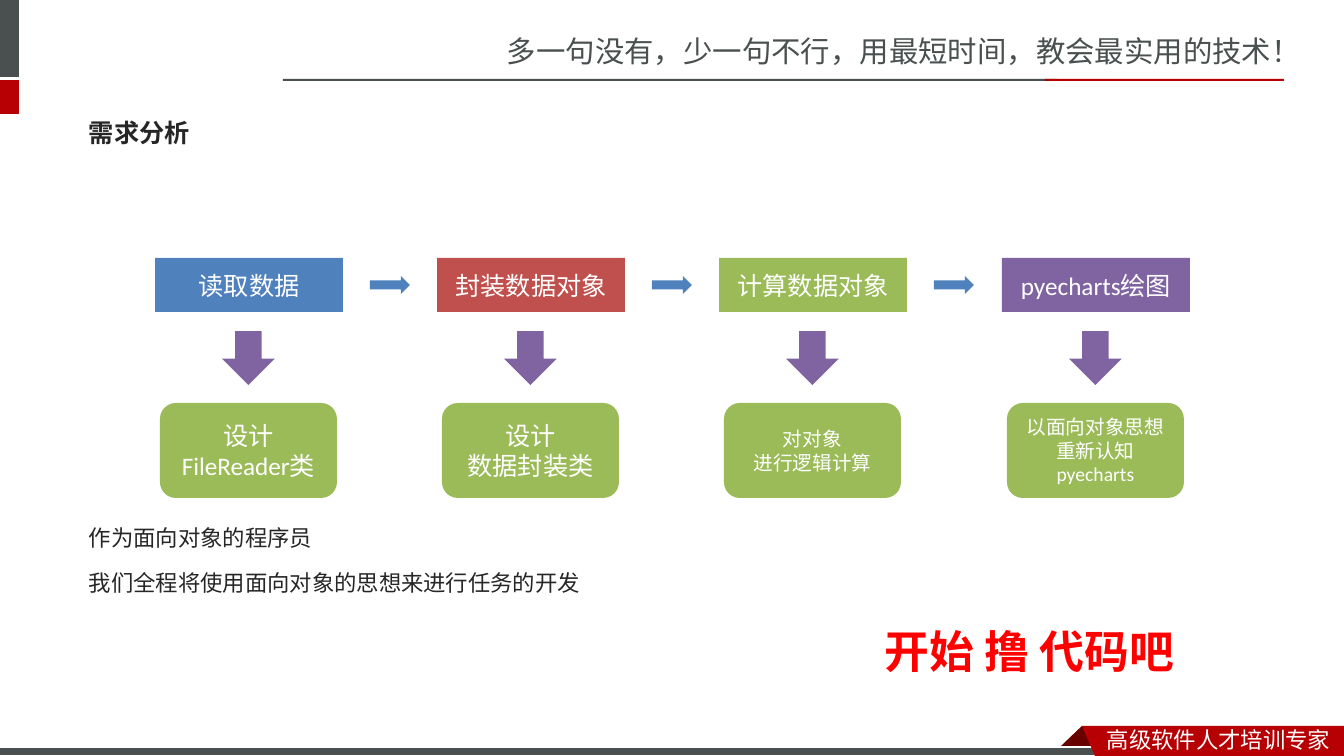
"""Build the requirements-analysis slide with its four-step flow."""
from dataclasses import dataclass

from lxml.etree import SubElement
from pptx import Presentation
from pptx.dml.color import RGBColor
from pptx.enum.shapes import MSO_SHAPE
from pptx.enum.text import MSO_ANCHOR, PP_ALIGN
from pptx.oxml.ns import qn
from pptx.util import Emu, Pt

EMU_PER_PX = 914400 / 100.8
CJK = "Noto Sans CJK SC"
SLATE, CRIMSON, MAROON = "49504F", "B60004", "680000"
BLUE, RED, GREEN, PURPLE = "4F81BD", "C0504D", "9BBB59", "8064A2"
WHITE, INK, BRIGHT_RED = "FFFFFF", "262626", "FF0000"


@dataclass(frozen=True)
class Box:
    left: int
    top: int
    width: int
    height: int

    def shifted(self, dx: int) -> "Box":
        return Box(self.left + dx, self.top, self.width, self.height)

    def emu(self) -> list[Emu]:
        return [px(n) for n in (self.left, self.top, self.width, self.height)]


@dataclass(frozen=True)
class Style:
    size: int
    color: str
    name: str = CJK
    bold: bool = False


@dataclass(frozen=True)
class Label:
    box: Box
    lines: tuple[str, ...]
    style: Style
    frame: dict
    paragraph: dict


@dataclass(frozen=True)
class Step:
    title: str
    color: str
    task: tuple[str, ...]
    task_size: int


BARS = (
    (Box(0, 0, 19, 77), SLATE),
    (Box(0, 80, 19, 34), CRIMSON),
    (Box(283, 79, 774, 2), SLATE),
    (Box(1045, 79, 239, 2), CRIMSON),
)
FOLD = ((1082, 726), (1104, 748), (1103, 749), (1060, 749), (1059, 748))
RIBBON = ((1082, 726), (1344, 726), (1344, 756), (1095, 756))
FOOTER = Box(0, 747, 1108, 9)

STEPS = (
    Step("读取数据", BLUE, ("设计FileReader类",), 18),
    Step("封装数据对象", RED, ("设计", "数据封装类"), 18),
    Step("计算数据对象", GREEN, ("对对象", "进行逻辑计算"), 14),
    Step("pyecharts绘图", PURPLE, ("以面向对象思想", "重新认知pyecharts"), 14),
)
STEP_SPAN = 847
STEP_BOX = Box(155, 258, 188, 54)
NEXT_ARROW = Box(370, 276, 40, 18)
DOWN_ARROW = Box(222, 331, 53, 54)
TASK_BOX = Box(160, 403, 177, 95)

WRAPPED = {"word_wrap": True}
CENTERED = {"alignment": PP_ALIGN.CENTER}
MIDDLE = {"word_wrap": True, "vertical_anchor": MSO_ANCHOR.MIDDLE}
LABELS = (
    Label(Box(497, 28, 847, 47), ("多一句没有，少一句不行，用最短时间，教会最实用的技术！",),
          Style(21, SLATE), WRAPPED, {}),
    Label(Box(1097, 721, 247, 37), ("高级软件人才培训专家",),
          Style(16, WHITE), WRAPPED, {}),
    Label(Box(79, 104, 1179, 57), ("需求分析",),
          Style(18, INK, bold=True), MIDDLE, {}),
    Label(Box(79, 506, 1179, 142),
          ("作为面向对象的程序员", "我们全程将使用面向对象的思想来进行任务的开发"),
          Style(16, INK), WRAPPED, {"line_spacing": 1.5, "space_before": Pt(3.2)}),
    Label(Box(875, 619, 314, 65), ("开始 撸 代码吧",),
          Style(32, BRIGHT_RED, bold=True), {"word_wrap": False}, {}),
)


def px(length: int) -> Emu:
    """Turn pixels into EMU."""
    return Emu(round(length * EMU_PER_PX))


def rgb(color: str) -> RGBColor:
    """Turn a hex string into a colour."""
    return RGBColor.from_string(color)


def apply(target, formats: dict) -> None:
    """Set every format value on the target."""
    for name, value in formats.items():
        setattr(target, name, value)


def write(frame, lines: tuple[str, ...], style: Style, frame_formats: dict,
          paragraph_formats: dict) -> None:
    """Write styled lines into a text frame."""
    apply(frame, frame_formats)
    for index, line in enumerate(lines):
        paragraph = frame.add_paragraph() if index else frame.paragraphs[0]
        apply(paragraph, paragraph_formats)
        if not index:
            paragraph.space_before = Pt(0)
        run = paragraph.add_run()
        run.text = line
        apply(run.font, {"size": Pt(style.size), "bold": style.bold, "name": style.name})
        run.font.color.rgb = rgb(style.color)
        SubElement(run.font._element, qn("a:ea")).set("typeface", CJK)


def paint(shape, color: str) -> None:
    """Give a shape a flat fill without line or shadow."""
    shape.shadow.inherit = False
    shape.fill.solid()
    shape.fill.fore_color.rgb = rgb(color)
    shape.line.fill.background()


def add_block(slide, kind: MSO_SHAPE, box: Box, color: str):
    """Add a flat preset shape."""
    block = slide.shapes.add_shape(kind, *box.emu())
    paint(block, color)
    return block


def add_outline(slide, points: tuple[tuple[int, int], ...], color: str) -> None:
    """Add a flat polygon."""
    builder = slide.shapes.build_freeform(*points[0], scale=EMU_PER_PX)
    builder.add_line_segments(points[1:], close=True)
    paint(builder.convert_to_shape(), color)


def add_frame(slide) -> None:
    """Add the bars and the ribbon around the content."""
    for box, color in BARS:
        add_block(slide, MSO_SHAPE.RECTANGLE, box, color)
    add_outline(slide, FOLD, MAROON)
    footer = add_block(slide, MSO_SHAPE.RECTANGLE, FOOTER, SLATE)
    footer.line.color.rgb = rgb(WHITE)
    footer.line.width = Pt(0.75)
    add_outline(slide, RIBBON, CRIMSON)


def add_step(slide, step: Step, index: int) -> None:
    """Add one step with its task and the arrows around it."""
    last = len(STEPS) - 1
    dx = STEP_SPAN * index // last
    title = add_block(slide, MSO_SHAPE.RECTANGLE, STEP_BOX.shifted(dx), step.color)
    write(title.text_frame, (step.title,), Style(18, WHITE, "Calibri"), MIDDLE, CENTERED)
    if index < last:
        add_block(slide, MSO_SHAPE.RIGHT_ARROW, NEXT_ARROW.shifted(dx), BLUE)
    add_block(slide, MSO_SHAPE.DOWN_ARROW, DOWN_ARROW.shifted(dx), PURPLE)
    task = add_block(slide, MSO_SHAPE.ROUNDED_RECTANGLE, TASK_BOX.shifted(dx), GREEN)
    write(task.text_frame, step.task, Style(step.task_size, WHITE, "Calibri"), MIDDLE, CENTERED)


def main() -> None:
    """Build and save the slide."""
    deck = Presentation()
    deck.slide_width, deck.slide_height = px(1344), px(756)
    slide = deck.slides.add_slide(deck.slide_layouts[6])
    add_frame(slide)
    for index, step in enumerate(STEPS):
        add_step(slide, step, index)
    for label in LABELS:
        textbox = slide.shapes.add_textbox(*label.box.emu())
        write(textbox.text_frame, label.lines, label.style, label.frame, label.paragraph)
    deck.save("out.pptx")


if __name__ == "__main__":
    main()
